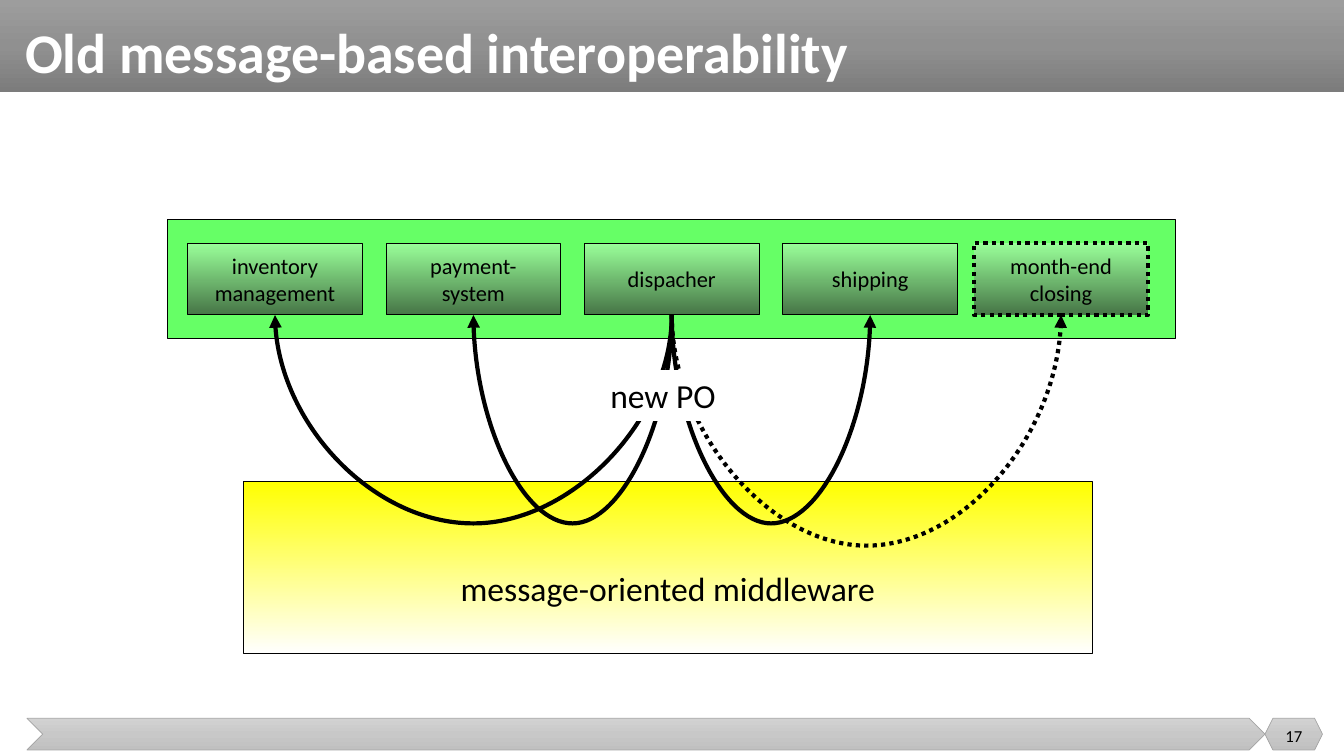
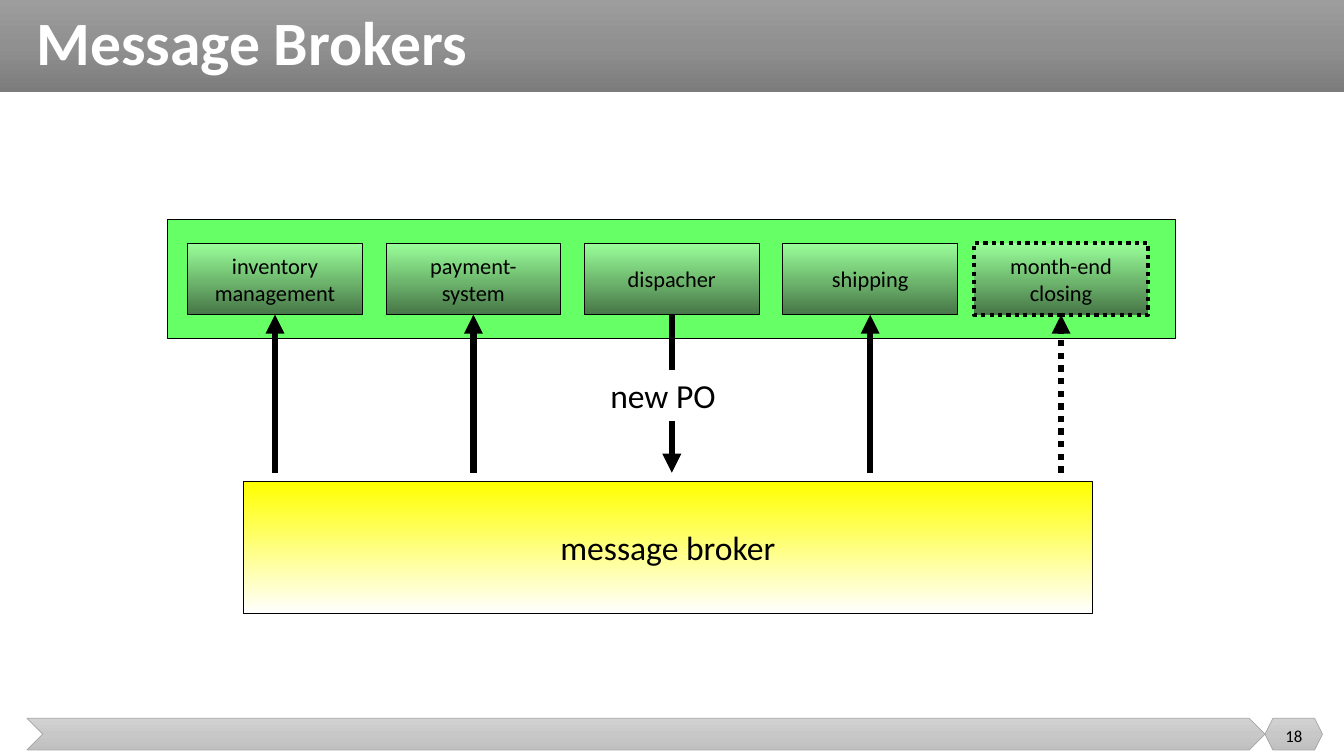
from dataclasses import dataclass

from lxml import etree
from pptx import Presentation
from pptx.dml.color import RGBColor
from pptx.enum.dml import MSO_LINE
from pptx.enum.shapes import MSO_CONNECTOR, MSO_SHAPE
from pptx.enum.text import MSO_ANCHOR, MSO_AUTO_SIZE, PP_ALIGN
from pptx.oxml.ns import qn
from pptx.shapes.autoshape import Shape
from pptx.shapes.connector import Connector
from pptx.slide import Slide, SlideLayout
from pptx.util import Cm, Pt

RECT, CHEVRON, HEXAGON = MSO_SHAPE.RECTANGLE, MSO_SHAPE.CHEVRON, MSO_SHAPE.HEXAGON
STRAIGHT, CURVE = MSO_CONNECTOR.STRAIGHT, MSO_CONNECTOR.CURVE
LEFT, CENTER = PP_ALIGN.LEFT, PP_ALIGN.CENTER
TOP, MIDDLE = MSO_ANCHOR.TOP, MSO_ANCHOR.MIDDLE
DOTTED = MSO_LINE.ROUND_DOT
BOTTOM_SITE = 2
TITLE_ONLY = 5


@dataclass(frozen=True)
class Theme:
    font: str = "Calibri"
    ink: str = "000000"
    paper: str = "FFFFFF"
    header: tuple[str, ...] = ("9D9D9D", "909090", "7C7C7C")
    footer: tuple[str, ...] = ("D2D2D2", "C8C8C8", "C0C0C0")
    footer_line: str = "A5A5A5"
    platform: str = "66FF66"
    system: tuple[str, ...] = ("99FF99", "477647")
    middleware: tuple[str, ...] = ("FFFF00", "FFFFFF")
    label_size: float = 24
    system_size: float = 16
    number_size: float = 12
    thin: float = 0.75
    hairline: float = 0.5
    curve_width: float = 3
    arrow_width: float = 4.5


@dataclass(frozen=True)
class Box:
    left: float
    top: float
    width: float
    height: float


@dataclass(frozen=True)
class System:
    lines: tuple[str, ...]
    left: float
    sag: float = 5.26
    dotted: bool = False

    @property
    def center(self) -> float:
        return self.left + SYSTEM_WIDTH / 2


@dataclass(frozen=True)
class Page:
    title: str
    title_box: Box
    title_size: float
    middleware: str
    middleware_height: float
    middleware_inset: float
    number: int
    curved: bool


THEME = Theme()
SYSTEM_LEFT, SYSTEM_PITCH, SYSTEM_WIDTH = 4.73, 5, 4.4
SYSTEM_TOP, SYSTEM_HEIGHT = 6.13, 1.8
SYSTEM_BOTTOM = SYSTEM_TOP + SYSTEM_HEIGHT
ARROW_BOTTOM = 11.91
CURVE_DROP = 0.01

REGULAR = [("inventory", "management"), ("payment-", "system"), ("dispacher",), ("shipping",)]
SYSTEMS = [System(lines, SYSTEM_LEFT + i * SYSTEM_PITCH) for i, lines in enumerate(REGULAR)]
SYSTEMS.append(System(("month-end", "closing"), 24.54, sag=5.82, dotted=True))
DISPATCHER = SYSTEMS[2]

PAGES = [
    Page("Old message-based interoperability", Box(0.38, -0.2, 28.1, 3.18), 40,
         "message-oriented middleware", 4.35, 2.19, 17, curved=True),
    Page("Message Brokers", Box(0.66, -0.43, 22.86, 3.18), 44,
         "message broker", 3.33, 1.16, 18, curved=False),
]


def color(value: str) -> RGBColor:
    return RGBColor.from_string(value)


def fill_shape(sp: Shape, colors: tuple[str, ...]) -> None:
    """Fill with one colour, or with evenly spaced colours from top to bottom."""
    if len(colors) == 1:
        sp.fill.solid()
        sp.fill.fore_color.rgb = color(colors[0])
        return
    sp.fill.gradient()
    sp.fill.gradient_angle = 270
    stops = sp.element.spPr.find(qn("a:gradFill")).find(qn("a:gsLst"))
    for stop in list(stops):
        stops.remove(stop)
    for i, value in enumerate(colors):
        stop = etree.SubElement(stops, qn("a:gs"), pos=str(i * 100000 // (len(colors) - 1)))
        etree.SubElement(stop, qn("a:srgbClr"), val=value)


def add_box(slide: Slide, box: Box, *colors: str, kind: MSO_SHAPE = RECT,
            line: str | None = None, width: float = THEME.thin) -> Shape:
    sp = slide.shapes.add_shape(kind, Cm(box.left), Cm(box.top), Cm(box.width), Cm(box.height))
    sp.shadow.inherit = False
    fill_shape(sp, colors)
    if line:
        sp.line.color.rgb = color(line)
        sp.line.width = Pt(width)
    else:
        sp.line.fill.background()
    return sp


def set_text(sp: Shape, lines: tuple[str, ...], size: float, align: PP_ALIGN = CENTER,
             anchor: MSO_ANCHOR = MIDDLE, wrap: bool = True, ink: str = THEME.ink) -> None:
    tf = sp.text_frame
    tf.text = "\n".join(lines)
    tf.word_wrap = wrap
    tf.auto_size = MSO_AUTO_SIZE.NONE
    tf.vertical_anchor = anchor
    for p in tf.paragraphs:
        p.alignment = align
        p.font.name = THEME.font
        p.font.size = Pt(size)
        p.font.color.rgb = color(ink)


def style_connector(cxn: Connector, width: float, dotted: bool) -> None:
    """Set the line and put an arrowhead at its end."""
    cxn.line.color.rgb = color(THEME.ink)
    cxn.line.width = Pt(width)
    if dotted:
        cxn.line.dash_style = DOTTED
    sp_pr = cxn.element.spPr
    etree.SubElement(sp_pr.find(qn("a:ln")), qn("a:tailEnd"), type="triangle")
    etree.SubElement(sp_pr, qn("a:effectLst"))


def add_curve(slide: Slide, target: System) -> None:
    """Hang a curve from the dispatcher down and back up to the target."""
    span = abs(target.center - DISPATCHER.center)
    left = (target.center + DISPATCHER.center - CURVE_DROP) / 2
    top = SYSTEM_BOTTOM + (CURVE_DROP - span) / 2
    cxn = slide.shapes.add_connector(CURVE, Cm(left), Cm(top),
                                     Cm(left) + Cm(CURVE_DROP), Cm(top + span))
    sp_pr = cxn.element.spPr
    xfrm = sp_pr.find(qn("a:xfrm"))
    to_right = target.center > DISPATCHER.center
    xfrm.set("rot", str((270 if to_right else 90) * 60000))
    if to_right:
        xfrm.set("flipH", "1")
    guides = sp_pr.find(qn("a:prstGeom")).find(qn("a:avLst"))
    sag = round(target.sag / CURVE_DROP * 100000)
    etree.SubElement(guides, qn("a:gd"), name="adj1", fmla=f"val {sag}")
    style_connector(cxn, THEME.curve_width, target.dotted)


def add_arrow(slide: Slide, system: System, sp: Shape) -> None:
    """Point down from the dispatcher, or up to any other system."""
    x = Cm(system.center)
    ends = [Cm(SYSTEM_BOTTOM), Cm(ARROW_BOTTOM)]
    if system is DISPATCHER:
        cxn = slide.shapes.add_connector(STRAIGHT, x, ends[0], x, ends[1])
        cxn.begin_connect(sp, BOTTOM_SITE)
    else:
        cxn = slide.shapes.add_connector(STRAIGHT, x, ends[1], x, ends[0])
        cxn.end_connect(sp, BOTTOM_SITE)
    style_connector(cxn, THEME.arrow_width, system.dotted)


def add_system(slide: Slide, system: System) -> Shape:
    box = Box(system.left, SYSTEM_TOP, SYSTEM_WIDTH, SYSTEM_HEIGHT)
    sp = add_box(slide, box, *THEME.system, line=THEME.ink)
    if system.dotted:
        sp.line.width = Pt(THEME.curve_width)
        sp.line.dash_style = DOTTED
    set_text(sp, system.lines, THEME.system_size, wrap=False)
    return sp


def move_bands_to_layout(slide: Slide, layout: SlideLayout) -> None:
    """Draw the header and footer bands and hand them to the layout, behind its placeholders."""
    bands = [
        add_box(slide, Box(0, 0, 33.87, 2.32), *THEME.header),
        add_box(slide, Box(0.68, 18.1, 31.2, 0.8), *THEME.footer, kind=CHEVRON,
                line=THEME.footer_line, width=THEME.hairline),
        add_box(slide, Box(31.88, 18.1, 1.45, 0.8), *THEME.footer, kind=HEXAGON,
                line=THEME.footer_line, width=THEME.hairline),
    ]
    for i, band in enumerate(bands):
        layout.shapes.element.insert(2 + i, band.element)


def set_title(slide: Slide, page: Page) -> None:
    title, box = slide.shapes.title, page.title_box
    title.left, title.top = Cm(box.left), Cm(box.top)
    title.width, title.height = Cm(box.width), Cm(box.height)
    set_text(title, (page.title,), page.title_size, align=LEFT, ink=THEME.paper)
    p = title.text_frame.paragraphs[0]
    p.font.bold = True
    p.line_spacing = 0.9


def add_number(slide: Slide, number: int) -> None:
    sp = slide.shapes.add_textbox(Cm(31.88), Cm(18.03), Cm(1.45), Cm(1.02))
    set_text(sp, (str(number),), THEME.number_size)


def draw_page(slide: Slide, page: Page) -> None:
    set_title(slide, page)
    add_box(slide, Box(4.23, 5.54, 25.4, 3), THEME.platform, line=THEME.ink)
    boxes = [add_system(slide, system) for system in SYSTEMS]

    middleware = add_box(slide, Box(6.13, 12.13, 21.4, page.middleware_height),
                         *THEME.middleware, line=THEME.ink)
    set_text(middleware, (page.middleware,), THEME.label_size, anchor=TOP)
    middleware.text_frame.margin_top = Cm(page.middleware_inset)

    for system, sp in zip(SYSTEMS, boxes):
        if not page.curved:
            add_arrow(slide, system, sp)
        elif system is not DISPATCHER:
            add_curve(slide, system)

    order = add_box(slide, Box(15.13, 9.33, 3.2, 1.28), THEME.paper)
    set_text(order, ("new PO",), THEME.label_size, align=LEFT, anchor=TOP, wrap=False)
    add_number(slide, page.number)


def main() -> None:
    prs = Presentation()
    prs.slide_width, prs.slide_height = Cm(33.87), Cm(19.05)
    layout = prs.slide_layouts[TITLE_ONLY]
    slides = [prs.slides.add_slide(layout) for _ in PAGES]
    move_bands_to_layout(slides[0], layout)
    for slide, page in zip(slides, PAGES):
        draw_page(slide, page)
    prs.save("out.pptx")


if __name__ == "__main__":
    main()
